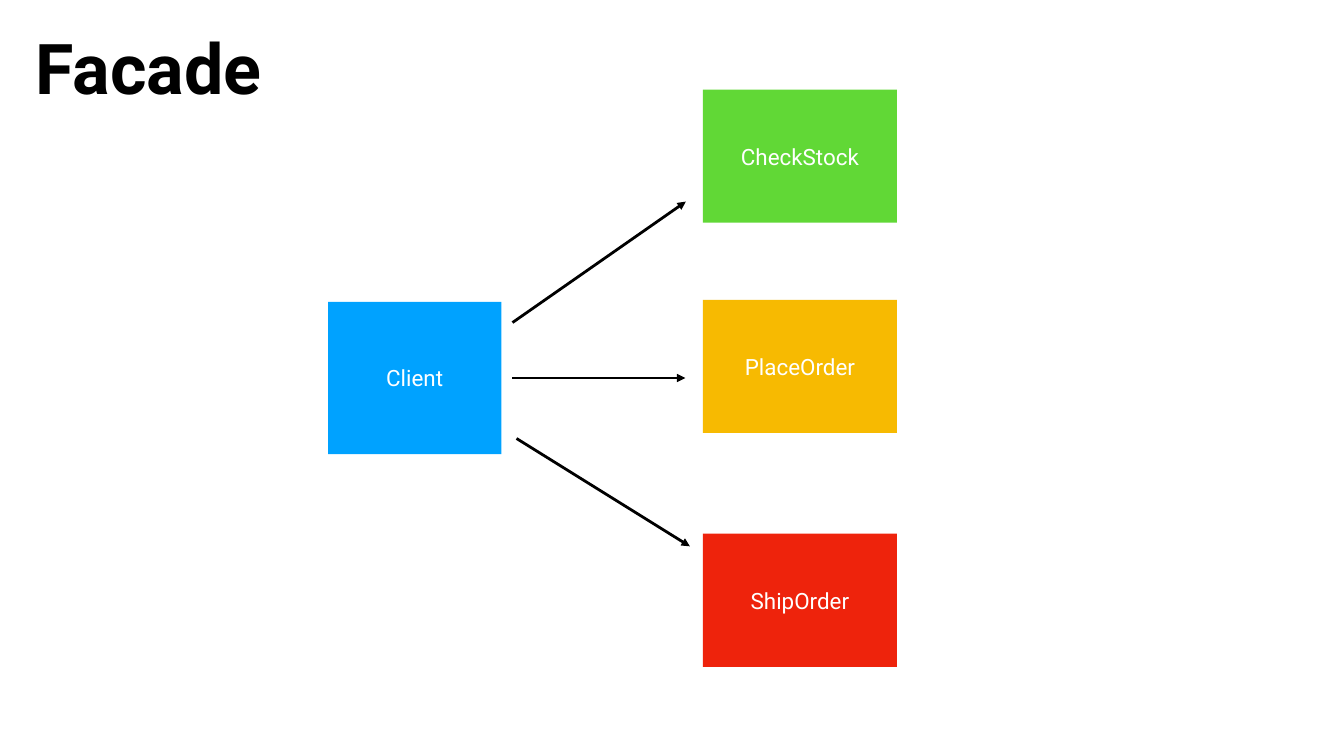
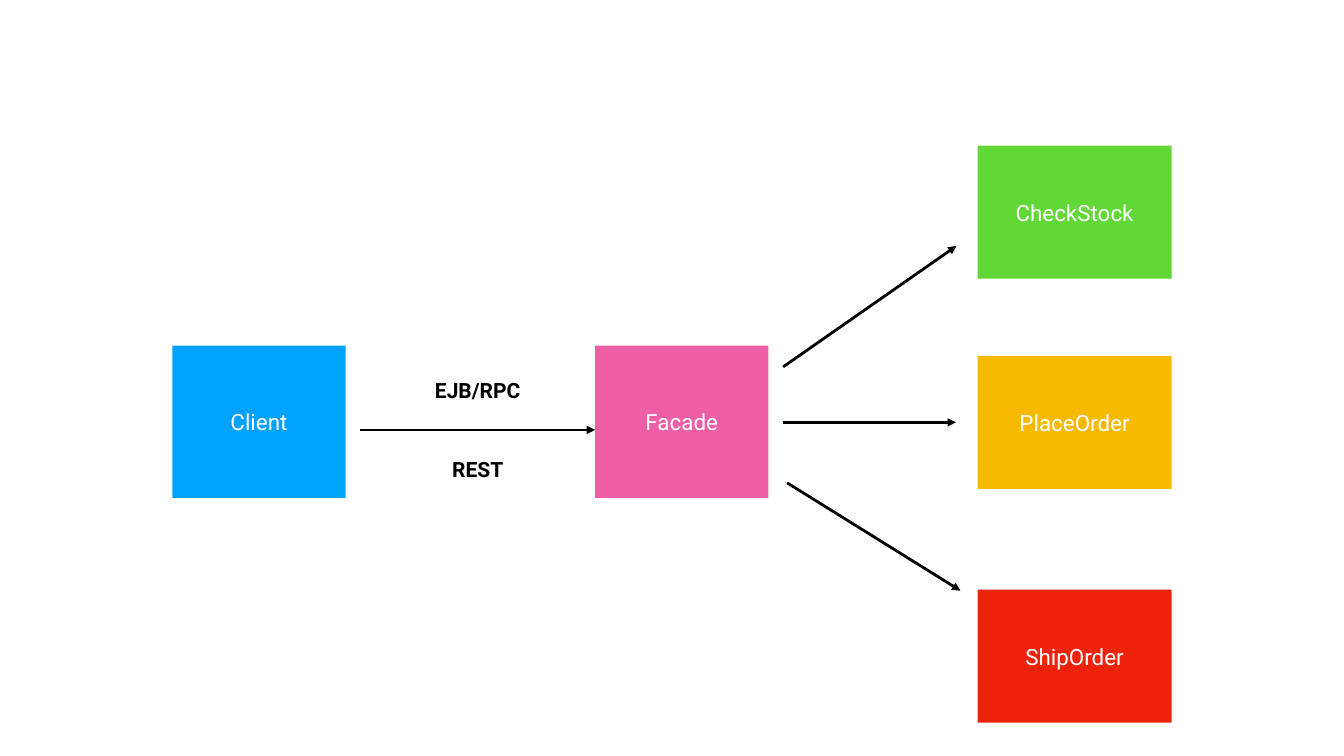
from lxml import etree
from pptx import Presentation
from pptx import util as u
from pptx.dml.color import RGBColor
from pptx.enum import shapes, text
from pptx.oxml.ns import qn

# Grid of one-inch cells
COLUMNS, ROWS = 26.67, 15
CELL = u.Inches(1)

BLACK, WHITE = "000000", "FFFFFF"
BLUE, PINK = "00A2FF", "EF5FA7"
SERVICES = [  # name, colour, rows below the first service
    ("CheckStock", "61D836", 0),
    ("PlaceOrder", "F7BA01", 4.17),
    ("ShipOrder", "EE230C", 8.81),
]
FAN = [  # start and end, measured from the start of the middle arrow
    ((0, -1.1), (3.44, -3.5)),
    ((0, 0), (3.43, 0)),
    ((0.08, 1.2), (3.52, 3.34)),
]
HUB_SIZE = (3.44, 3.02)
SERVICE_SIZE = (3.85, 2.64)


def colour(hex_string):
    return RGBColor.from_string(hex_string)


def cells(*numbers):
    return [round(number * CELL) for number in numbers]


def write(shape, words, size=32, ink=WHITE, bold=False, inset=0.0, wrap=True):
    frame = shape.text_frame
    frame.word_wrap = wrap
    frame.vertical_anchor = text.MSO_ANCHOR.MIDDLE
    frame.margin_left = frame.margin_right = u.Inches(inset)
    frame.margin_top = frame.margin_bottom = u.Inches(inset)
    paragraph = frame.paragraphs[0]
    paragraph.alignment = text.PP_ALIGN.CENTER
    run = paragraph.add_run()
    run.text = words
    run.font.name = "Roboto"
    run.font.size = u.Pt(size)
    run.font.bold = bold
    run.font.color.rgb = colour(ink)


class Diagram:
    def __init__(self):
        self.presentation = Presentation()
        self.presentation.slide_width, self.presentation.slide_height = cells(COLUMNS, ROWS)
        self.slide = None

    def new_slide(self):
        self.slide = self.presentation.slides.add_slide(self.presentation.slide_layouts[6])

    def box(self, words, fill, position, size):
        shape = self.slide.shapes.add_shape(
            shapes.MSO_SHAPE.RECTANGLE, *cells(*position, *size))
        shape.shadow.inherit = False
        shape.fill.solid()
        shape.fill.fore_color.rgb = colour(fill)
        shape.line.fill.background()
        write(shape, words)

    def label(self, words, position, size, points):
        shape = self.slide.shapes.add_textbox(*cells(*position, *size))
        write(shape, words, size=points, ink=BLACK, bold=True, inset=0.06, wrap=False)
        shape.text_frame.auto_size = text.MSO_AUTO_SIZE.SHAPE_TO_FIT_TEXT

    def arrow(self, start, end):
        connector = self.slide.shapes.add_connector(
            shapes.MSO_CONNECTOR.STRAIGHT, *cells(*start, *end))
        connector.line.color.rgb = colour(BLACK)
        connector.line.width = u.Pt(4)
        properties = connector.line._get_or_add_ln()
        etree.SubElement(properties, qn("a:tailEnd"), type="triangle")
        etree.SubElement(connector._element.spPr, qn("a:effectLst"))

    def services(self, column, row):
        for name, fill, offset in SERVICES:
            self.box(name, fill, (column, row + offset), SERVICE_SIZE)

    def fan(self, column, row):
        for start, end in FAN:
            self.arrow((column + start[0], row + start[1]),
                       (column + end[0], row + end[1]))


def main():
    diagram = Diagram()

    # Client calls every service itself
    diagram.new_slide()
    diagram.box("Client", BLUE, (6.51, 5.99), HUB_SIZE)
    diagram.services(13.95, 1.78)
    diagram.fan(10.17, 7.5)
    diagram.label("Facade", (0.45, 0.42), (4.99, 1.78), points=100)

    # Client calls the services through a facade
    diagram.new_slide()
    diagram.box("Client", BLUE, (3.42, 6.86), HUB_SIZE)
    diagram.services(19.4, 2.89)
    diagram.box("Facade", PINK, (11.81, 6.86), HUB_SIZE)
    diagram.fan(15.54, 8.38)
    diagram.arrow((7.15, 8.53), (11.81, 8.53))
    diagram.label("EJB/RPC", (8.5, 7.44), (1.96, 0.61), points=30)
    diagram.label("REST", (8.87, 9), (1.22, 0.61), points=30)

    diagram.presentation.save("out.pptx")


if __name__ == "__main__":
    main()
